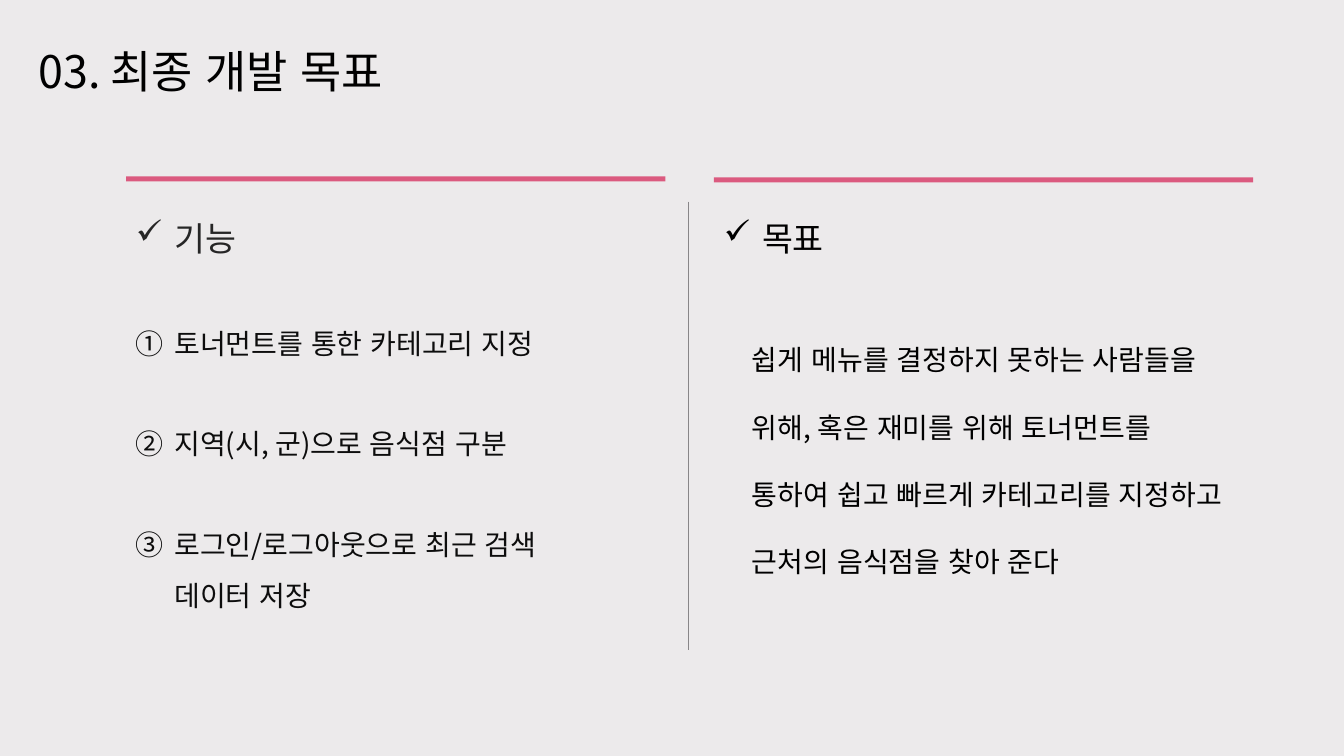
import pptx
import pptx.dml.color
import pptx.enum.lang
import pptx.enum.shapes
import pptx.enum.text
import pptx.oxml.ns
import pptx.util
from lxml import etree
from pptx.util import Inches

FONT = "Noto Sans CJK KR"
BLACK = "000000"
PINK = "DB5A7F"
INDENT = 0.38
CHECK = ("a:buChar", {"char": "✓"})
CIRCLED = ("a:buAutoNum", {"type": "circleNumDbPlain"})


def rgb(color):
    return pptx.dml.color.RGBColor.from_string(color)


def add_xml(parent, tag, attributes):
    child = etree.SubElement(parent, pptx.oxml.ns.qn(tag))
    for name, value in attributes.items():
        child.set(name, value)


def set_attributes(target, values):
    for name, value in values.items():
        setattr(target, name, value)


def place(sp, box):
    names = ("left", "top", "width", "height")
    set_attributes(sp, {name: Inches(v) for name, v in zip(names, box)})


def write(sp, lines, size, color=BLACK, bullet=None, spacing=1.0, gap=0):
    tf = sp.text_frame
    set_attributes(tf, {
        "word_wrap": True,
        "auto_size": pptx.enum.text.MSO_AUTO_SIZE.SHAPE_TO_FIT_TEXT,
        "vertical_anchor": pptx.enum.text.MSO_ANCHOR.TOP,
    })
    for i, line in enumerate(lines):
        p = tf.paragraphs[0] if i == 0 else tf.add_paragraph()
        set_attributes(p, {
            "alignment": pptx.enum.text.PP_ALIGN.LEFT,
            "line_spacing": spacing,
            "space_after": pptx.util.Pt(gap if i < len(lines) - 1 else 0),
        })
        if bullet:
            pPr = p._p.get_or_add_pPr()
            pPr.set("marL", str(Inches(INDENT)))
            pPr.set("indent", str(Inches(-INDENT)))
            add_xml(pPr, *bullet)
        r = p.add_run()
        r.text = line
        set_attributes(r.font, {
            "size": pptx.util.Pt(size),
            "name": FONT,
            "language_id": pptx.enum.lang.MSO_LANGUAGE_ID.KOREAN,
        })
        r.font.color.rgb = rgb(color)
        add_xml(r._r.get_or_add_rPr(), "a:ea", {"typeface": FONT})


def add_text(s, box, lines, size, **style):
    sp = s.shapes.add_textbox(*map(Inches, box))
    write(sp, lines, size, **style)


def add_bar(s, box):
    sp = s.shapes.add_shape(
        pptx.enum.shapes.MSO_SHAPE.RECTANGLE, *map(Inches, box))
    sp.shadow.inherit = False
    sp.fill.solid()
    sp.fill.fore_color.rgb = rgb(PINK)
    sp.line.fill.background()


def add_divider(s, x, top, bottom):
    line = s.shapes.add_connector(
        pptx.enum.shapes.MSO_CONNECTOR.STRAIGHT,
        Inches(x), Inches(top), Inches(x), Inches(bottom))
    line.line.color.rgb = rgb("888688")
    line.line.width = pptx.util.Pt(0.5)
    add_xml(line._element.spPr, "a:effectLst", {})


def add_column_head(s, left, bar_top, heading, color):
    add_bar(s, (left, bar_top, 5.35, 0.05))
    add_text(s, (left, 2.11, 2.95, 0.5), [heading], 24,
             color=color, bullet=CHECK)


def main():
    prs = pptx.Presentation()
    prs.slide_width, prs.slide_height = Inches(13.33), Inches(7.5)
    s = prs.slides.add_slide(prs.slide_layouts.get_by_name("Title Only"))
    s.background.fill.solid()
    s.background.fill.fore_color.rgb = rgb("ECEAEB")

    place(s.shapes.title, (0.28, 0.38, 4.97, 0.64))
    write(s.shapes.title, ["03. 최종 개발 목표"], 32)
    add_divider(s, 6.83, 2, 6.45)
    add_column_head(s, 1.25, 1.75, "기능", "262626")
    add_column_head(s, 7.08, 1.76, "목표", BLACK)
    add_text(s, (1.25, 3.02, 5, 3.13), [
        "토너먼트를 통한 카테고리 지정",
        "지역(시, 군)으로 음식점 구분",
        "로그인/로그아웃으로 최근 검색 데이터 저장",
    ], 20, color="0D0D0D", bullet=CIRCLED, spacing=1.5, gap=36)
    add_text(s, (7.36, 3.02, 4.98, 2.7), [
        "쉽게 메뉴를 결정하지 못하는 사람들을 위해, 혹은 재미를 위해 "
        "토너먼트를 통하여 쉽고 빠르게 카테고리를 지정하고 "
        "근처의 음식점을 찾아 준다",
    ], 20, spacing=2.0)
    prs.save("out.pptx")


if __name__ == "__main__":
    main()
